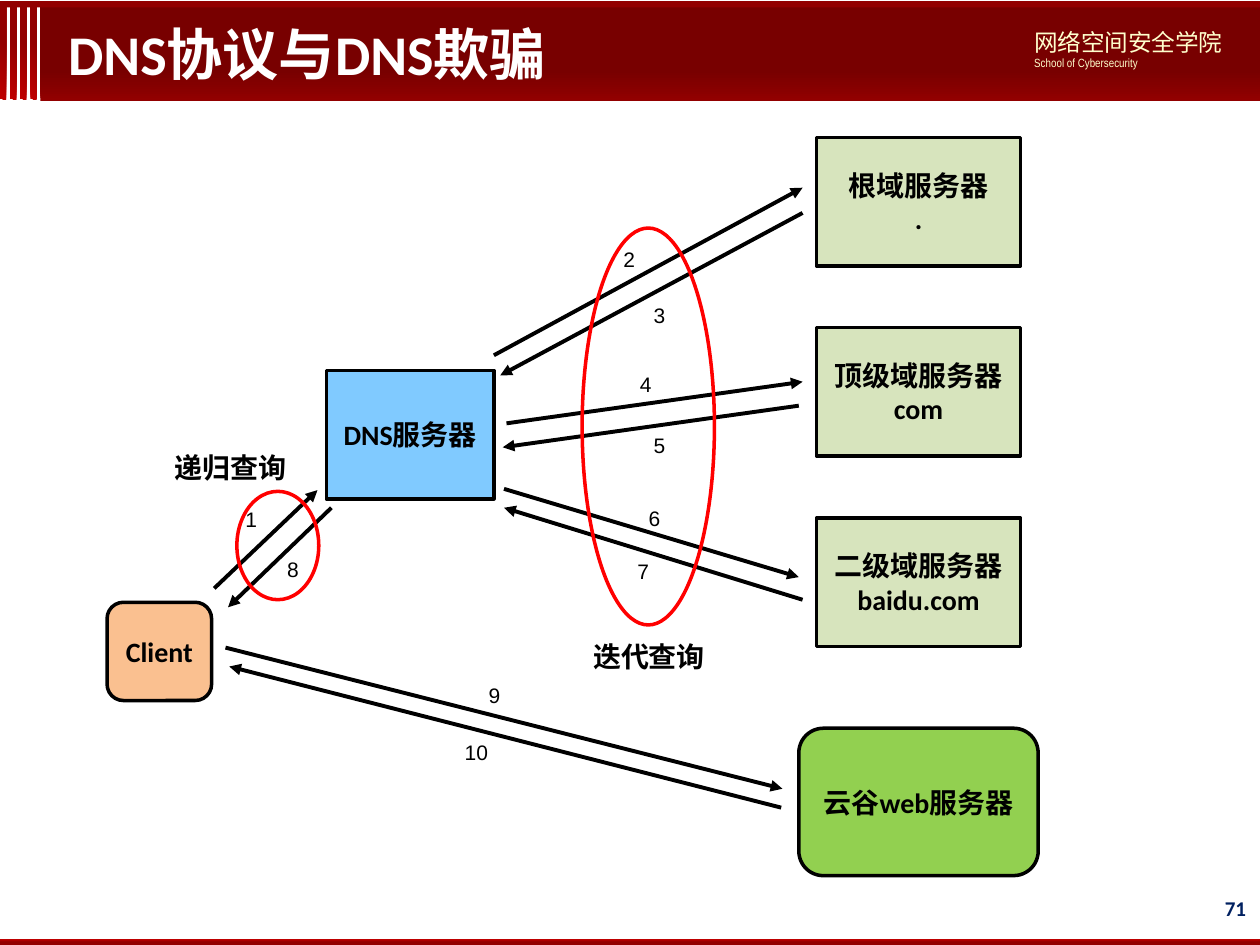
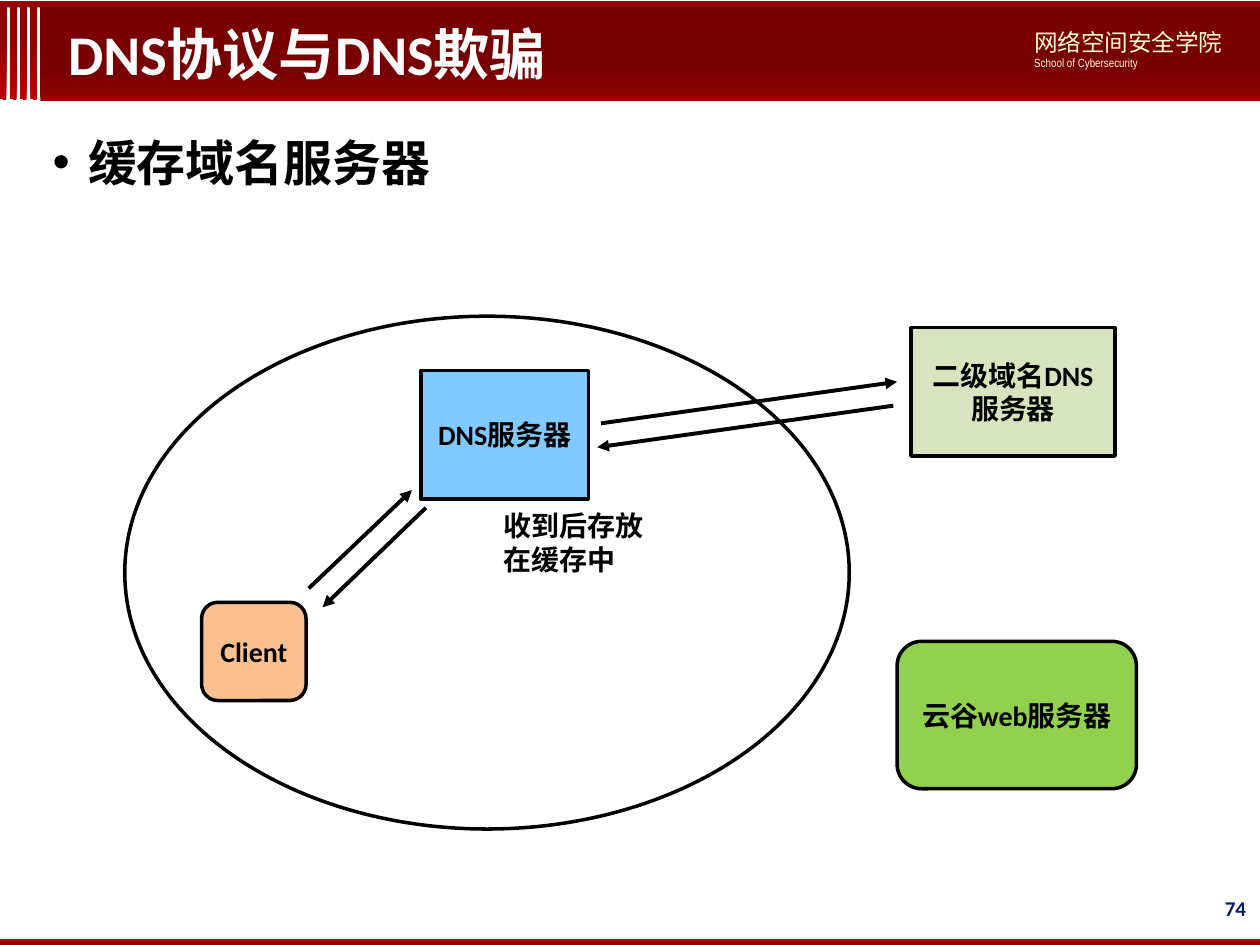
from lxml import etree
from pptx import Presentation
from pptx import util as u
from pptx.dml.color import RGBColor
from pptx.enum import shapes, text
from pptx.oxml.ns import qn

COLUMNS, ROWS = 10, 7.5
CELL = u.Inches(1)
BLACK, WHITE, RED, NAVY, CREAM = "000000", "FFFFFF", "FF0000", "002060", "FFFFCD"
BRIGHT_RED, DEEP_RED, DARK_RED = "C00000", "920000", "780000"
ORANGE, BLUE, PALE_GREEN, GREEN = "FAC090", "80CAFF", "D7E4BD", "92D050"
CJK = "Noto Sans CJK SC"
RECT = shapes.MSO_SHAPE.RECTANGLE
ROUNDED = shapes.MSO_SHAPE.ROUNDED_RECTANGLE
OVAL = shapes.MSO_SHAPE.OVAL
LEFT, CENTER, RIGHT = text.PP_ALIGN.LEFT, text.PP_ALIGN.CENTER, text.PP_ALIGN.RIGHT

TITLE = "DNS协议与DNS欺骗"
WEB_SERVER = "云谷web服务器"
CACHE_SHIFT = 0.75


def color(value):
    return RGBColor.from_string(value)


def grid(*cells):
    return [round(cell * CELL) for cell in cells]


def style(paragraph, size, ink, face="Calibri", bold=True, align=LEFT):
    paragraph.alignment = align
    font = paragraph.font
    font.size, font.bold, font.name = u.Pt(size), bold, face
    font.color.rgb = color(ink)
    etree.SubElement(font._rPr, qn("a:ea"), typeface=CJK)


def write(frame, lines, *look, **options):
    frame.word_wrap = True
    frame.text = lines
    for paragraph in frame.paragraphs:
        style(paragraph, *look, **options)


def outlined(slide, kind, place, fill=None, line=None):
    shape = slide.shapes.add_shape(kind, *grid(*place))
    shape.shadow.inherit = False
    if fill:
        shape.fill.solid()
        shape.fill.fore_color.rgb = color(fill)
    else:
        shape.fill.background()
    if line:
        shape.line.color.rgb = color(line)
        shape.line.width = u.Pt(2)
    else:
        shape.line.fill.background()
    return shape


def gradient_bar(slide, place, stops, angle):
    bar = outlined(slide, RECT, place)
    bar.fill.gradient()
    bar.fill.gradient_angle = 360 - angle
    for stop, (position, tint) in zip(bar.fill.gradient_stops, stops):
        stop.position = position
        stop.color.rgb = color(tint)


def node(slide, kind, place, label, fill):
    box = outlined(slide, kind, place, fill, BLACK)
    box.text_frame.vertical_anchor = text.MSO_ANCHOR.MIDDLE
    write(box.text_frame, label, 16, BLACK, align=CENTER)


def label(slide, place, words, *look, **options):
    frame = slide.shapes.add_textbox(*grid(*place)).text_frame
    write(frame, words, *look, **options)
    return frame


def arrow(slide, start, end, shift=0):
    (x1, y1), (x2, y2) = start, end
    link = slide.shapes.add_connector(
        shapes.MSO_CONNECTOR.STRAIGHT, *grid(x1 + shift, y1, x2 + shift, y2))
    link.line.color.rgb = color(BLACK)
    link.line.width = u.Pt(2.25)
    etree.SubElement(link.line._get_or_add_ln(), qn("a:tailEnd"), type="triangle")
    etree.SubElement(link._element.spPr, qn("a:effectLst"))


def framed_slide(deck, number):
    slide = deck.slides.add_slide(deck.slide_layouts[5])
    for stripe in range(4):
        gradient_bar(slide, (stripe * 0.08, 0.05, 0.05, 0.74),
                     [(0, BRIGHT_RED), (0.62, DEEP_RED)], 315)
    gradient_bar(slide, (0.32, 0.06, 9.68, 0.74), [(0, DEEP_RED), (0.32, DARK_RED)], 270)
    gradient_bar(slide, (0, 7.45, COLUMNS, 0.05), [(0.1, BRIGHT_RED), (0.54, DEEP_RED)], 90)
    outlined(slide, RECT, (0, 0.01, COLUMNS, 0.05), DEEP_RED)

    page = label(slide, (7.63, 7.01, 2.33, 0.4), str(number), 12, NAVY, align=RIGHT)
    page.vertical_anchor = text.MSO_ANCHOR.MIDDLE
    page.margin_left = page.margin_right = u.Inches(0.07)
    page.margin_top = page.margin_bottom = u.Inches(0.04)

    school = label(slide, (8.11, 0.17, 1.81, 0.44), "网络空间安全学院\nSchool of Cybersecurity",
                   13.5, CREAM, CJK, bold=False)
    school.paragraphs[1].font.size = u.Pt(6.8)
    school.paragraphs[1].font.name = "Arial Narrow"

    title = slide.shapes.title
    title.left, title.top, title.width, title.height = grid(0.44, 0.05, 6.77, 0.74)
    title.text_frame.auto_size = text.MSO_AUTO_SIZE.NONE
    title.text_frame.vertical_anchor = text.MSO_ANCHOR.MIDDLE
    write(title.text_frame, TITLE, 32, WHITE)
    slide.shapes._spTree.append(title._element)
    return slide


def client_and_resolver(slide, shift=0):
    node(slide, ROUNDED, (0.85 + shift, 4.78, 0.83, 0.78), "Client", ORANGE)
    node(slide, RECT, (2.59 + shift, 2.94, 1.33, 1.02), "DNS服务器", BLUE)
    for start, end in [((1.7, 4.67), (2.52, 3.89)), ((2.63, 4.03), (1.81, 4.82)),
                       ((4.02, 3.36), (6.37, 3.03)), ((6.34, 3.22), (3.99, 3.55))]:
        arrow(slide, start, end, shift)


def domain_server(slide, words, level, shift=0):
    node(slide, RECT, (6.48 + shift, 1.09 + level * 1.51, 1.62, 1.02), words, PALE_GREEN)


def web_server(slide, column, row):
    node(slide, ROUNDED, (column, row, 1.9, 1.17), WEB_SERVER, GREEN)


def resolution_slide(deck):
    slide = framed_slide(deck, 71)
    client_and_resolver(slide)
    for level, words in enumerate(["根域服务器\n.", "顶级域服务器\ncom", "二级域服务器\nbaidu.com"]):
        domain_server(slide, words, level)
    web_server(slide, 6.34, 5.78)
    for start, end in [((3.92, 2.82), (6.37, 1.49)), ((6.37, 1.69), (3.97, 2.98)),
                       ((4, 3.88), (6.34, 4.58)), ((6.37, 4.76), (4, 4.03)),
                       ((1.79, 5.14), (6.21, 6.26)), ((6.2, 6.41), (1.82, 5.29))]:
        arrow(slide, start, end)
    steps = [(1.85, 3.97), (4.85, 1.91), (5.09, 2.35), (4.98, 2.9), (5.09, 3.38),
             (5.05, 3.96), (4.96, 4.38), (2.18, 4.37), (3.78, 5.37), (3.59, 5.82)]
    for step, (column, row) in enumerate(steps, 1):
        label(slide, (column, row, 0.47, 0.3), str(step), 12, BLACK, "Arial", bold=False)
    for query_group in [(1.88, 3.9, 0.65, 0.86), (4.62, 1.81, 1.05, 3.15)]:
        outlined(slide, OVAL, query_group, line=RED)
    label(slide, (1.29, 3.53, 1.35, 0.37), "递归查询", 16, BLACK, "Arial")
    label(slide, (4.61, 5.03, 1.24, 0.37), "迭代查询", 16, BLACK, "Arial")


def cache_slide(deck):
    slide = framed_slide(deck, 74)
    topic = slide.shapes.add_textbox(*grid(0.32, 0.91, 9.31, 0.8)).text_frame
    topic.word_wrap = True
    heading = topic.paragraphs[0]
    heading.text = "缓存域名服务器"
    heading.line_spacing = 1.2
    properties = heading._p.get_or_add_pPr()
    properties.set("marL", str(u.Inches(0.28)))
    properties.set("indent", str(-u.Inches(0.28)))
    etree.SubElement(properties, qn("a:buFont"), typeface="Arial")
    etree.SubElement(properties, qn("a:buChar"), char="•")
    style(heading, 28, BLACK)

    client_and_resolver(slide, CACHE_SHIFT)
    domain_server(slide, "二级域名DNS服务器", 1, CACHE_SHIFT)
    web_server(slide, 7.12, 5.09)
    label(slide, (3.9, 3.99, 1.35, 0.64), "收到后存放在缓存中", 16, BLACK, "Arial")
    outlined(slide, OVAL, (0.99, 2.51, 5.75, 4.07), line=BLACK)


def main():
    deck = Presentation()
    deck.slide_width, deck.slide_height = grid(COLUMNS, ROWS)
    resolution_slide(deck)
    cache_slide(deck)
    deck.save("out.pptx")


if __name__ == "__main__":
    main()
